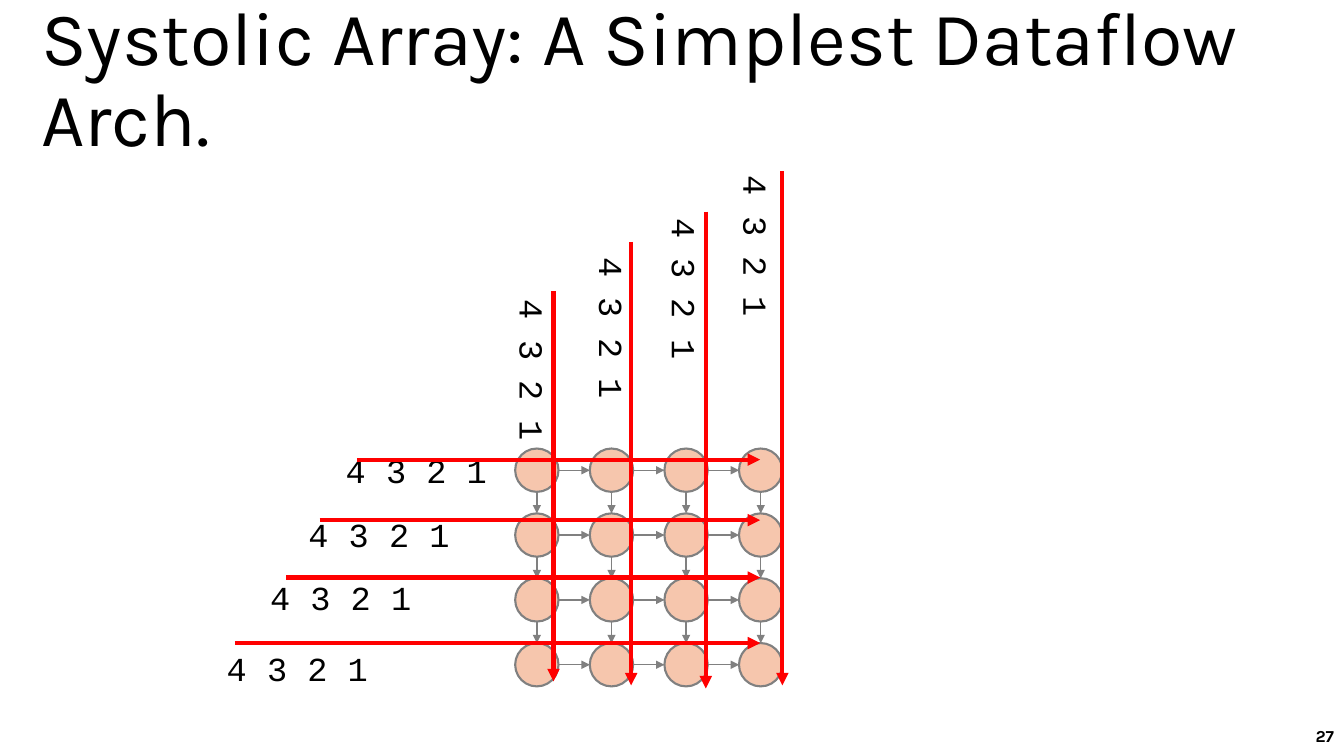
from lxml import etree
from pptx import Presentation
from pptx.dml.color import RGBColor
from pptx.enum.shapes import MSO_CONNECTOR, MSO_SHAPE
from pptx.enum.text import MSO_ANCHOR, MSO_AUTO_SIZE, PP_ALIGN
from pptx.oxml.ns import qn
from pptx.util import Inches, Pt

BLACK, GREY, PEACH, RED = "000000", "808080", "F6C6AD", "FF0000"
GRID_SIZE = 4
DIAMETER = 0.43
STREAM_TEXT = "4 3 2 1"
STREAM_WIDTH, STREAM_HEIGHT = 1.61, 0.5


def color(hex_string):
    return RGBColor.from_string(hex_string)


def add_text(page, box, text, size, font, bold=False, align=PP_ALIGN.LEFT,
             anchor=MSO_ANCHOR.MIDDLE, wrap=True):
    left, top, width, height = box
    shape = page.shapes.add_textbox(
        Inches(left), Inches(top), Inches(width), Inches(height))
    frame = shape.text_frame
    frame.word_wrap = wrap
    frame.vertical_anchor = anchor
    para = frame.paragraphs[0]
    para.text = text
    para.alignment = align
    para.font.size = Pt(size)
    para.font.name = font
    para.font.bold = bold
    para.font.color.rgb = color(BLACK)
    return shape


def add_arrow(page, start, end, line_color, weight):
    arrow = page.shapes.add_connector(
        MSO_CONNECTOR.STRAIGHT, *(Inches(value) for value in (*start, *end)))
    arrow.line.color.rgb = color(line_color)
    arrow.line.width = Pt(weight)
    etree.SubElement(arrow.line._get_or_add_ln(), qn("a:tailEnd"), type="triangle")
    etree.SubElement(arrow._element.spPr, qn("a:effectLst"))


def add_cell(page, left, top):
    cell = page.shapes.add_shape(
        MSO_SHAPE.OVAL, Inches(left), Inches(top), Inches(DIAMETER), Inches(DIAMETER))
    cell.shadow.inherit = False
    cell.fill.solid()
    cell.fill.fore_color.rgb = color(PEACH)
    cell.line.color.rgb = color(GREY)
    cell.line.width = Pt(1.5)


def add_title(page, box):
    title = add_text(page, box, "Systolic Array: A Simplest Dataflow Arch.", 54, "Karla")
    title.text_frame.paragraphs[0].line_spacing = 0.9


def add_processing_grid(page, box):
    left, top, width, height = box
    step_x = (width - DIAMETER) / (GRID_SIZE - 1)
    step_y = (height - DIAMETER) / (GRID_SIZE - 1)
    radius = DIAMETER / 2
    for row in range(GRID_SIZE):
        for column in range(GRID_SIZE):
            x, y = left + column * step_x, top + row * step_y
            add_cell(page, x, y)
            # Links to the right and lower neighbours
            if column < GRID_SIZE - 1:
                add_arrow(page, (x + DIAMETER, y + radius),
                          (x + step_x, y + radius), GREY, 1)
            if row < GRID_SIZE - 1:
                add_arrow(page, (x + radius, y + DIAMETER),
                          (x + radius, y + step_y), GREY, 1)


def add_stream_label(page, left, top, rotation=0):
    label = add_text(page, (left, top, STREAM_WIDTH, STREAM_HEIGHT), STREAM_TEXT,
                     24, "Courier New", anchor=MSO_ANCHOR.TOP, wrap=False)
    label.text_frame.auto_size = MSO_AUTO_SIZE.SHAPE_TO_FIT_TEXT
    label.rotation = rotation


def add_row_streams(page, box):
    left, top, width, _ = box
    # Label offset, then arrow start and height
    streams = [
        (1.18, 0, 1.39, 0.15),
        (0.81, 0.64, 1.02, 0.75),
        (0.43, 1.26, 0.69, 1.32),
        (0, 1.97, 0.18, 1.97),
    ]
    for label_x, label_y, start_x, arrow_y in streams:
        add_stream_label(page, left + label_x, top + label_y)
        add_arrow(page, (left + start_x, top + arrow_y),
                  (left + width, top + arrow_y), RED, 3)


def add_column_streams(page, box):
    left, top, _, height = box
    # Label offset, then arrow position, start and gap below its end
    streams = [
        (-0.52, 1.73, 0.49, 1.19, 0.07),
        (0.27, 1.31, 1.26, 0.7, 0.03),
        (0.99, 0.92, 2, 0.4, 0),
        (1.7, 0.5, 2.76, 0, 0.03),
    ]
    for label_x, label_y, arrow_x, start_y, gap in streams:
        add_stream_label(page, left + label_x, top + label_y, 90)
        add_arrow(page, (left + arrow_x, top + start_y),
                  (left + arrow_x, top + height - gap), RED, 3)


def add_page_number(page, box):
    add_text(page, box, "27", 12, "Karla", bold=True, align=PP_ALIGN.RIGHT)


def main():
    deck = Presentation()
    deck.slide_width, deck.slide_height = Inches(13.33), Inches(7.5)
    page = deck.slides.add_slide(deck.slide_layouts[6])
    add_title(page, (0.31, 0.11, 13.02, 1.4))
    add_processing_grid(page, (5.11, 4.45, 2.65, 2.36))
    add_page_number(page, (10.33, 7.1, 3, 0.4))
    add_row_streams(page, (2.15, 4.41, 5.39, 2.47))
    add_column_streams(page, (5, 1.7, 2.76, 5.13))
    deck.save("out.pptx")


if __name__ == "__main__":
    main()
